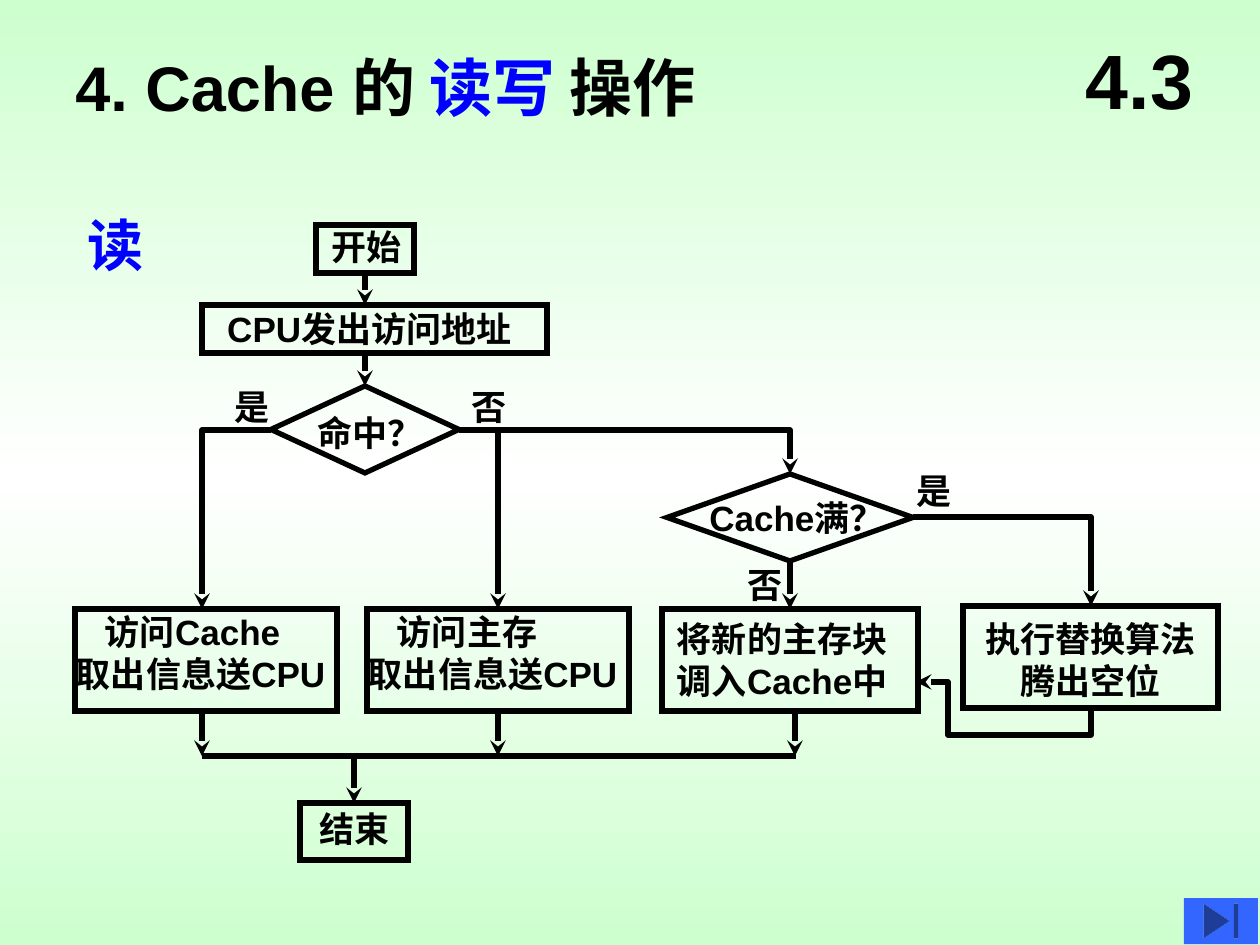
from copy import deepcopy

from lxml import etree
from pptx import Presentation
from pptx import util as u
from pptx.dml.color import RGBColor
from pptx.enum import shapes, text
from pptx.oxml.ns import qn

PX = 914400 / 126


class Theme:
    font = "Arial"
    ink = RGBColor(0x00, 0x00, 0x00)
    accent = RGBColor(0x00, 0x00, 0xFF)
    button = RGBColor(0x33, 0x66, 0xFF)
    edge = RGBColor(0xCD, 0xFF, 0xCE)
    middle = RGBColor(0xFF, 0xFF, 0xFF)
    line = u.Pt(3)
    body, heading, title, section = 20, 32, 36, 44


def write(tf, paragraphs, size, align):
    """Fill a text frame; each paragraph is a list of (words, colour) runs."""
    for i, runs in enumerate(paragraphs):
        p = tf.add_paragraph() if i else tf.paragraphs[0]
        p.alignment = align
        for words, colour in runs:
            r = p.add_run()
            r.text = words
            r.font.name = Theme.font
            r.font.size = u.Pt(size)
            r.font.bold = True
            r.font.color.rgb = colour


def stroke(sp, arrow):
    """Draw the outline in ink, without shadow: arrowhead or sharp corners."""
    sp.line.color.rgb = Theme.ink
    sp.line.width = Theme.line
    props = sp.element.spPr
    ln = props.find(qn("a:ln"))
    if arrow:
        etree.SubElement(ln, qn("a:tailEnd"), type="stealth")
    else:
        etree.SubElement(ln, qn("a:miter"), lim="800000")
    etree.SubElement(props, qn("a:effectLst"))


prs = Presentation()
prs.slide_width, prs.slide_height = u.Inches(10), u.Inches(7.5)
s = prs.slides.add_slide(prs.slide_layouts[6])

# Background: green at top and bottom, white in the middle
fill = s.background.fill
fill.gradient()
fill.gradient_angle = 90
stop_list = s.element.find(".//" + qn("a:gsLst"))
stop_list.append(deepcopy(stop_list[-1]))
for stop, position, colour in zip(fill.gradient_stops, (0, 0.5, 1),
                                  (Theme.edge, Theme.middle, Theme.edge)):
    stop.position = position
    stop.color.rgb = colour

# Flowchart nodes: name, shape, x, y, w, h, lines, align, insets (l, t, r, b)
RECT, DIAMOND = shapes.MSO_SHAPE.RECTANGLE, shapes.MSO_SHAPE.DIAMOND
LEFT, CENTER = text.PP_ALIGN.LEFT, text.PP_ALIGN.CENTER
nodes = {}
for name, kind, x, y, w, h, lines, align, insets in [
    ("start", RECT, 316, 225, 98, 48, ["开始"], CENTER, (4, 0, 0, 5)),
    ("address", RECT, 202, 305, 345, 48, ["CPU发出访问地址"], CENTER, (0, 0, 10, 0)),
    ("hit", DIAMOND, 271, 386, 188, 87, ["命中？"], CENTER, (10, 6, 0, 0)),
    ("full", DIAMOND, 667, 474, 246, 87, ["Cache满？"], CENTER, (14, 0, 0, 0)),
    ("cache", RECT, 75, 609, 262, 102, ["访问Cache", "取出信息送CPU"], LEFT, (1, 0, 0, 14)),
    ("memory", RECT, 367, 609, 262, 102, ["访问主存", "取出信息送CPU"], LEFT, (1, 0, 0, 14)),
    ("load", RECT, 662, 609, 256, 102, ["将新的主存块", "调入Cache中"], LEFT, (15, 0, 0, 0)),
    ("replace", RECT, 963, 606, 255, 102, ["执行替换算法", "腾出空位"], CENTER, (0, 5, 0, 0)),
    ("end", RECT, 300, 803, 108, 57, ["结束"], CENTER, (2, 0, 0, 6)),
]:
    sp = s.shapes.add_shape(kind, *(round(v * PX) for v in (x, y, w, h)))
    sp.fill.background()
    stroke(sp, arrow=False)
    tf = sp.text_frame
    tf.word_wrap = align == LEFT
    tf.vertical_anchor = text.MSO_ANCHOR.MIDDLE
    (tf.margin_left, tf.margin_top,
     tf.margin_right, tf.margin_bottom) = (round(v * PX) for v in insets)
    write(tf, [[(line, Theme.ink)] for line in lines], Theme.body, align)
    nodes[name] = sp

for name in ("cache", "memory"):
    first = nodes[name].text_frame.paragraphs[0]
    first._p.get_or_add_pPr().set("marL", str(round(29 * PX)))

# Straight lines: from, to, arrow, joined start and end (node, side)
TOP, BOTTOM = 0, 2
BUS = 756
for x1, y1, x2, y2, arrow, begin, end in [
    (365, 273, 365, 305, True, ("start", BOTTOM), None),
    (365, 353, 365, 386, True, None, ("hit", TOP)),
    (498, 430, 498, 609, True, None, ("memory", TOP)),
    (790, 561, 790, 609, True, ("full", BOTTOM), ("load", TOP)),
    (202, 711, 202, BUS, True, None, None),
    (498, 711, 498, BUS, True, ("memory", BOTTOM), None),
    (795, 711, 795, BUS, True, None, None),
    (202, BUS, 796, BUS, False, None, None),
    (354, BUS, 354, 803, True, None, ("end", TOP)),
]:
    line = s.shapes.add_connector(shapes.MSO_CONNECTOR.STRAIGHT,
                                  *(round(v * PX) for v in (x1, y1, x2, y2)))
    if begin:
        line.begin_connect(nodes[begin[0]], begin[1])
    if end:
        line.end_connect(nodes[end[0]], end[1])
    stroke(line, arrow)

# Bent arrows
for first, *rest in [
    [(459, 430), (790, 430), (790, 474)],
    [(271, 430), (202, 430), (202, 609)],
    [(913, 517), (1091, 517), (1091, 606)],
    [(1091, 708), (1091, 735), (948, 735), (948, 682), (916, 682)],
]:
    builder = s.shapes.build_freeform(*first, scale=PX)
    builder.add_line_segments(rest, close=False)
    sp = builder.convert_to_shape()
    sp.fill.background()
    stroke(sp, arrow=True)

# Title, heading and branch labels
title = [("4. Cache 的 ", Theme.ink), ("读写 ", Theme.accent), ("操作", Theme.ink)]
yes, no = [("是", Theme.ink)], [("否", Theme.ink)]
for x, y, w, h, runs, size in [
    (63, 42, 760, 88, title, Theme.title),
    (75, 204, 81, 81, [("读", Theme.accent)], Theme.heading),
    (222, 379, 60, 55, yes, Theme.body),
    (459, 379, 60, 55, no, Theme.body),
    (904, 463, 60, 55, yes, Theme.body),
    (735, 557, 60, 55, no, Theme.body),
]:
    tf = s.shapes.add_textbox(*(round(v * PX) for v in (x, y, w, h))).text_frame
    tf.word_wrap = True
    write(tf, [runs], size, LEFT)

section = s.shapes.add_textbox(*(round(v * PX) for v in (1061, 21, 157, 116)))
section.text_frame.word_wrap = True
section.text_frame.vertical_anchor = text.MSO_ANCHOR.MIDDLE
write(section.text_frame, [[("4.3", Theme.ink)]], Theme.section, CENTER)

button = s.shapes.add_shape(shapes.MSO_SHAPE.ACTION_BUTTON_END,
                            *(round(v * PX) for v in (1184, 898, 74, 46)))
button.fill.solid()
button.fill.fore_color.rgb = Theme.button
button.line.fill.background()
button.shadow.inherit = False

prs.save("out.pptx")
